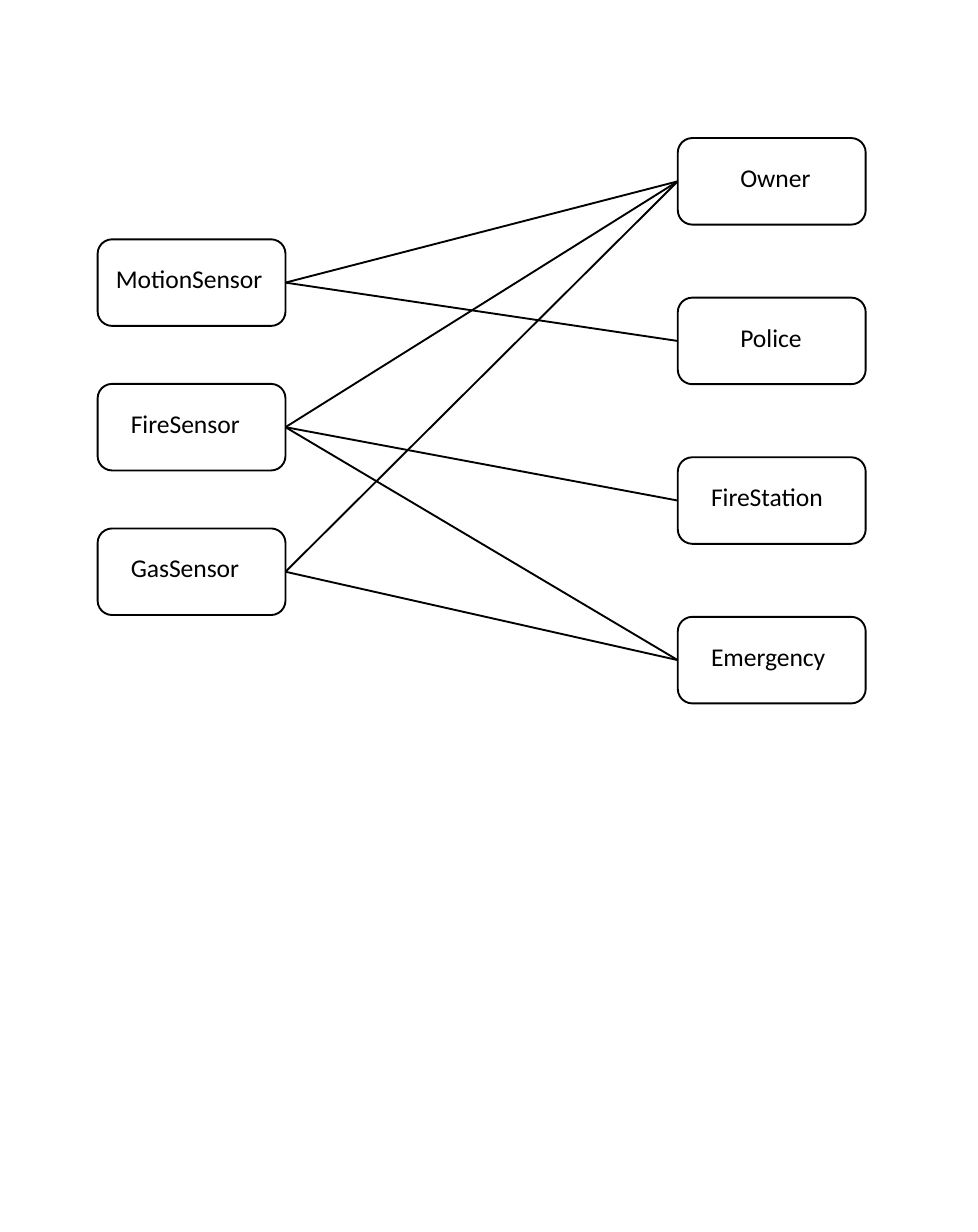
from pptx import Presentation
from pptx.dml.color import RGBColor
from pptx.enum.shapes import MSO_CONNECTOR as Connector, MSO_SHAPE as Shape
from pptx.enum.text import MSO_AUTO_SIZE as AutoSize
from pptx.oxml.ns import qn
from pptx.util import Inches, Pt
from lxml.etree import SubElement

BOX_WIDTH, BOX_HEIGHT = 1.02, 0.47
LABEL_TOP, LABEL_HEIGHT = 0.08, 0.27
LEFT_SIDE, RIGHT_SIDE = 1, 3

# name: (label indent, label width)
SENSORS = {"MotionSensor": (0.08, 0.87), "FireSensor": (0.16, 0.79), "GasSensor": (0.16, 0.71)}
RECEIVERS = {"Owner": (0.32, 0.47), "Police": (0.32, 0.47),
             "FireStation": (0.16, 0.71), "Emergency": (0.16, 0.71)}
ALERTS = {
    "MotionSensor": ["Owner", "Police"],
    "FireSensor": ["Owner", "FireStation", "Emergency"],
    "GasSensor": ["Owner", "Emergency"],
}


def color(value):
    return RGBColor.from_string(value)


def set_format(target, values):
    for name, value in values.items():
        setattr(target, name, value)


class Diagram:
    ink = "000000"
    font = {"name": "Calibri", "size": Pt(10)}
    frame = {"word_wrap": True, "auto_size": AutoSize.NONE,
             "margin_left": Inches(0.02), "margin_right": Inches(0.02),
             "margin_top": Inches(0.05), "margin_bottom": Inches(0.05)}

    def __init__(self, slide):
        self.slide = slide

    def outline(self, line):
        line.color.rgb = color(self.ink)
        line.width = Pt(0.75)

    def box(self, left, top):
        shape = self.slide.shapes.add_shape(
            Shape.FLOWCHART_ALTERNATE_PROCESS,
            Inches(left), Inches(top), Inches(BOX_WIDTH), Inches(BOX_HEIGHT))
        shape.shadow.inherit = False
        shape.fill.background()
        self.outline(shape.line)
        return shape

    def label(self, text, left, top, width):
        text_box = self.slide.shapes.add_textbox(
            Inches(left), Inches(top), Inches(width), Inches(LABEL_HEIGHT))
        set_format(text_box.text_frame, self.frame)
        paragraph = text_box.text_frame.paragraphs[0]
        paragraph.text = text
        set_format(paragraph.font, self.font)
        paragraph.font.color.rgb = color(self.ink)

    def column(self, labels, left, first_top, last_top):
        """Spread labelled boxes evenly and return them by name."""
        step = (last_top - first_top) / (len(labels) - 1)
        boxes = {}
        for row, (name, (indent, width)) in enumerate(labels.items()):
            top = first_top + row * step
            boxes[name] = self.box(left, top)
            self.label(name, left + indent, top + LABEL_TOP, width)
        return boxes

    def link(self, source, target):
        connector = self.slide.shapes.add_connector(Connector.STRAIGHT, 0, 0, 0, 0)
        connector.begin_connect(source, RIGHT_SIDE)
        connector.end_connect(target, LEFT_SIDE)
        self.outline(connector.line)
        SubElement(connector._element.spPr, qn("a:effectLst"))


def main():
    presentation = Presentation()
    set_format(presentation, {"slide_width": Inches(5.31), "slide_height": Inches(6.69)})
    diagram = Diagram(presentation.slides.add_slide(presentation.slide_layouts[6]))

    sensors = diagram.column(SENSORS, 0.53, 1.3, 2.87)
    receivers = diagram.column(RECEIVERS, 3.68, 0.75, 3.35)
    for sensor, alerted in ALERTS.items():
        for receiver in alerted:
            diagram.link(sensors[sensor], receivers[receiver])

    presentation.save("out.pptx")


if __name__ == "__main__":
    main()
